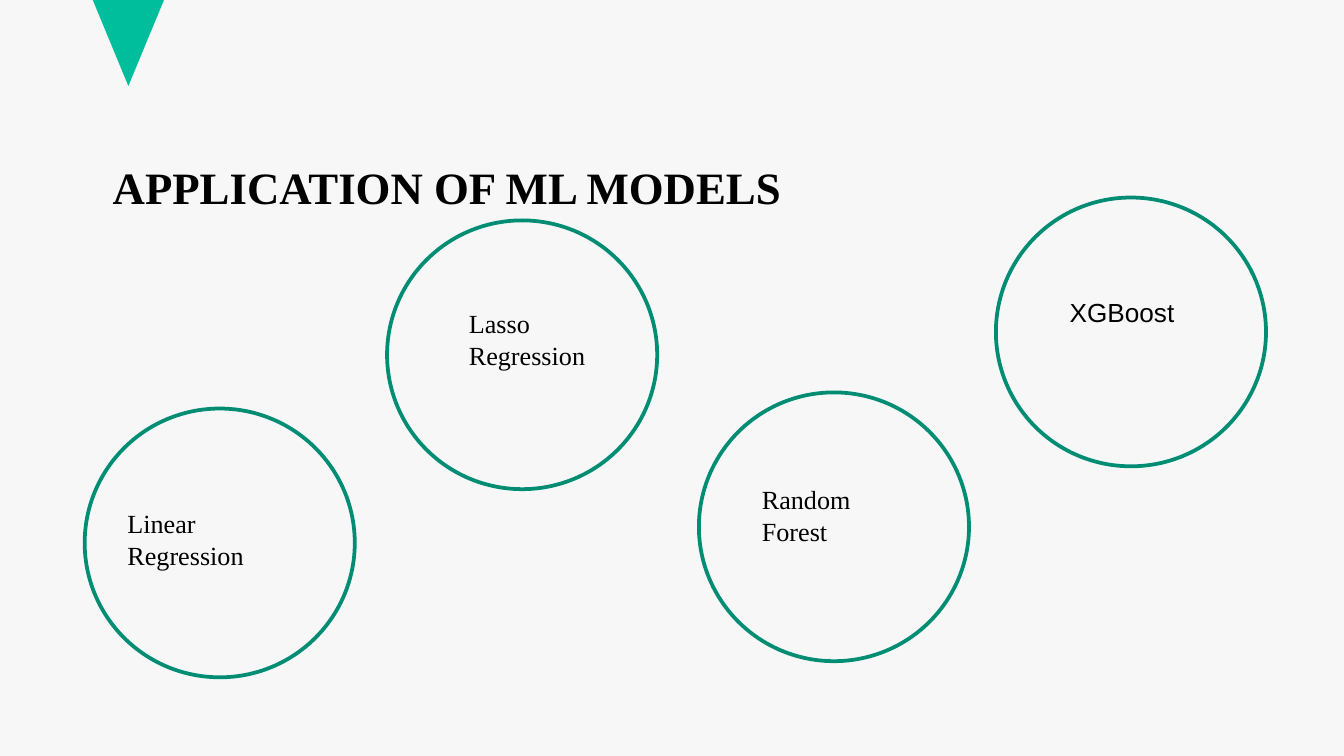
from dataclasses import dataclass

from pptx import Presentation
from pptx.dml.color import RGBColor
from pptx.enum.shapes import MSO_SHAPE
from pptx.util import Inches, Pt

TRIANGLE = MSO_SHAPE.ISOSCELES_TRIANGLE
OVAL = MSO_SHAPE.OVAL


@dataclass(frozen=True)
class Theme:
    background: RGBColor = RGBColor(0xF7, 0xF7, 0xF7)
    accent: RGBColor = RGBColor(0x00, 0xBE, 0x9C)
    ring: RGBColor = RGBColor(0x00, 0x8D, 0x73)
    ink: RGBColor = RGBColor(0x00, 0x00, 0x00)
    serif: str = "Times New Roman"
    sans: str = "Arial"
    title_size: Pt = Pt(24)
    label_size: Pt = Pt(14)
    ring_width: Pt = Pt(2)


theme = Theme()


def add_text(slide, words, box, size, font_name, bold=False):
    """Add a wrapped text box; box is left, top, width, height in inches."""
    frame = slide.shapes.add_textbox(*map(Inches, box)).text_frame
    frame.word_wrap = True
    frame.text = words
    font = frame.paragraphs[0].runs[0].font
    font.name = font_name
    font.size = size
    font.bold = bold
    font.color.rgb = theme.ink


prs = Presentation()
prs.slide_width = Inches(10)
prs.slide_height = Inches(10 * 9 / 16)  # widescreen 16:9
slide = prs.slides.add_slide(prs.slide_layouts[6])
slide.background.fill.solid()
slide.background.fill.fore_color.rgb = theme.background

pennant = slide.shapes.add_shape(
    TRIANGLE, Inches(0.69), Inches(0), Inches(0.53), Inches(0.64))
pennant.rotation = 180
pennant.shadow.inherit = False
pennant.fill.solid()
pennant.fill.fore_color.rgb = theme.accent
pennant.line.fill.background()

add_text(slide, "APPLICATION OF ML MODELS", (0.74, 1.14, 8.82, 0.5),
         theme.title_size, theme.serif, bold=True)

# Model name, ring left and top, label box, label font
models = [
    ("Linear Regression", 0.63, 3.04, (0.85, 3.73, 1.46, 0.57), theme.serif),
    ("Lasso Regression", 2.88, 1.64, (3.39, 2.24, 1.41, 0.81), theme.serif),
    ("Random Forest", 5.2, 2.92, (5.57, 3.55, 1.28, 0.57), theme.serif),
    ("XGBoost", 7.41, 1.47, (7.86, 2.16, 1.11, 0.34), theme.sans),
]

for model, left, top, label_box, label_font in models:
    ring = slide.shapes.add_shape(
        OVAL, Inches(left), Inches(top), Inches(2.01), Inches(2))
    ring.shadow.inherit = False
    ring.fill.background()
    ring.line.color.rgb = theme.ring
    ring.line.width = theme.ring_width
    add_text(slide, model, label_box, theme.label_size, label_font)

prs.save("out.pptx")
